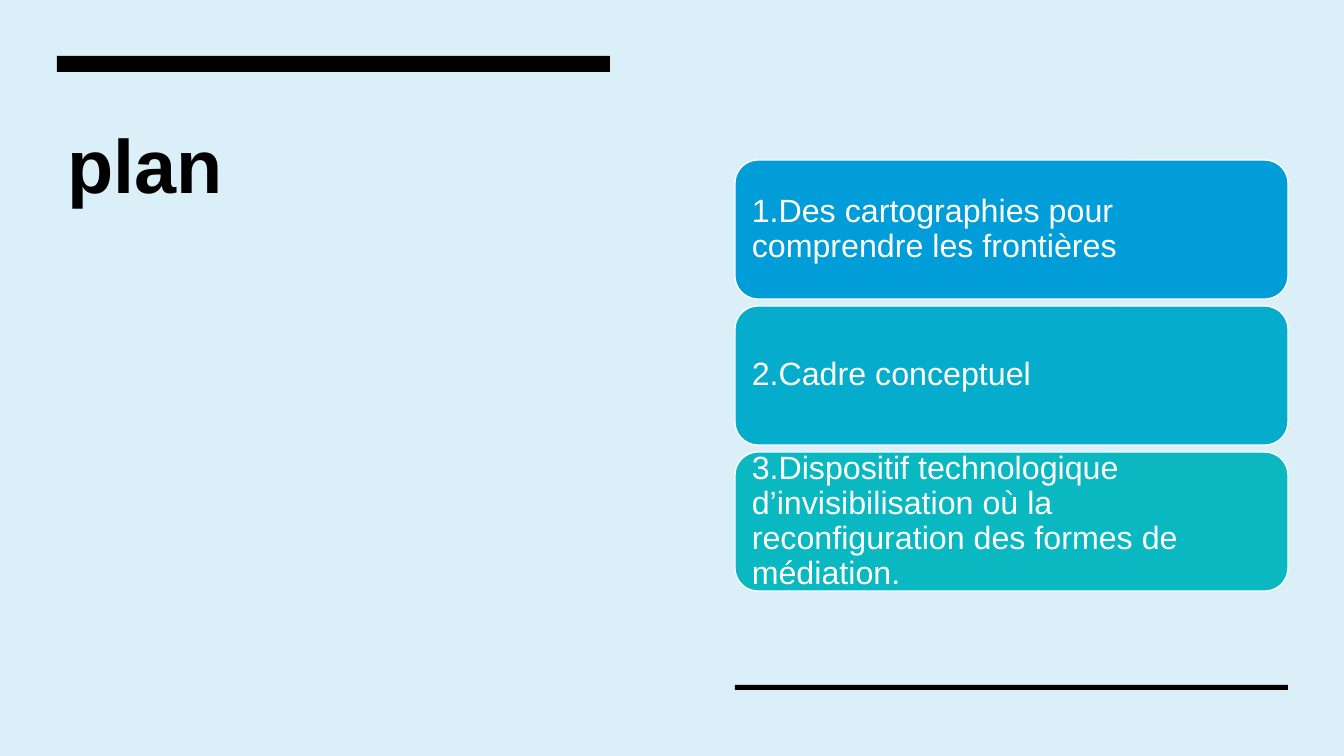
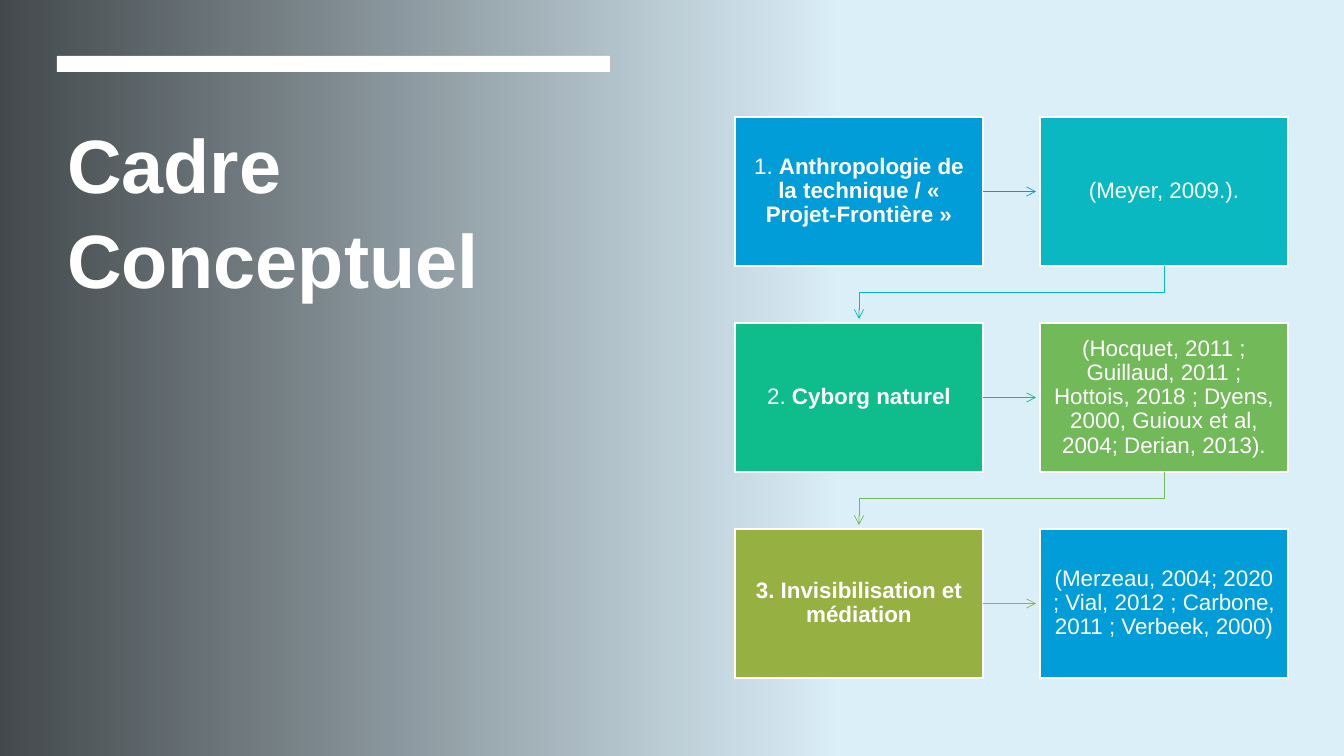
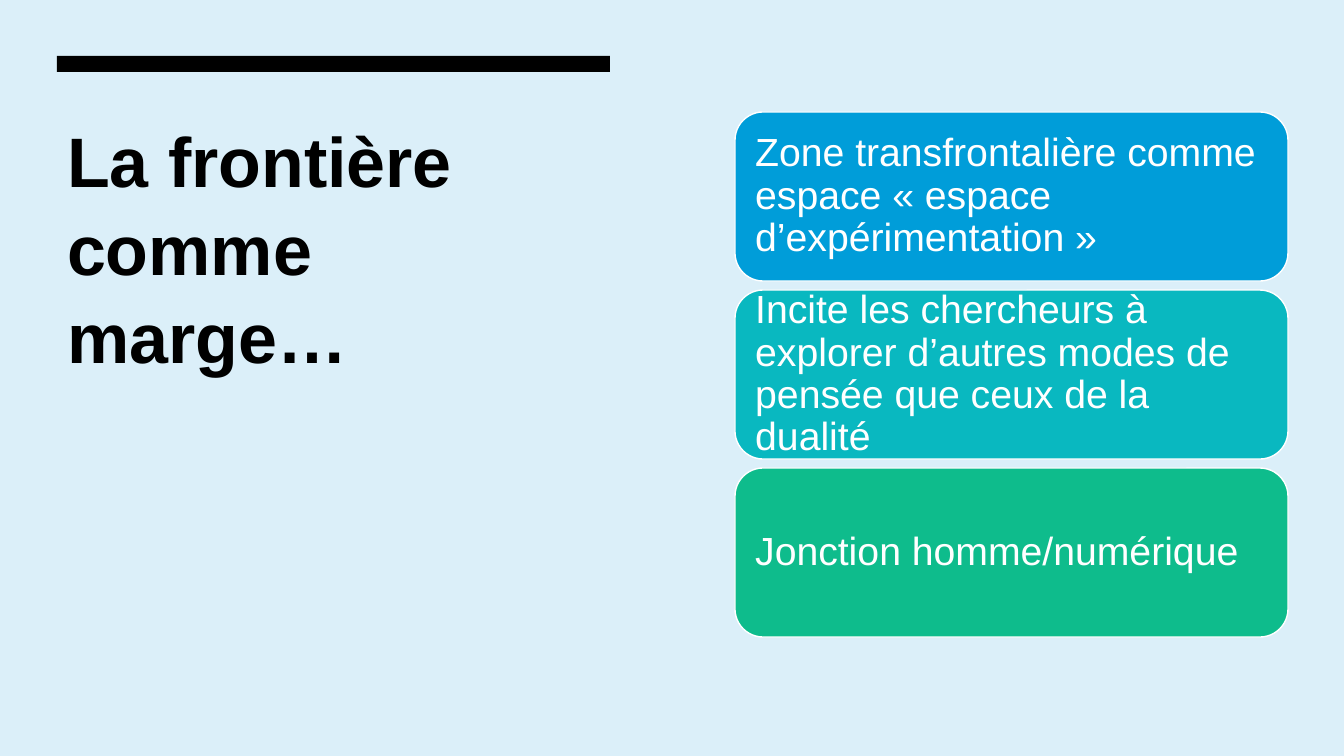
from lxml import etree
from pptx import Presentation
from pptx.dml.color import RGBColor
from pptx.enum.shapes import MSO_CONNECTOR as Connector, MSO_SHAPE as Shape
from pptx.enum.text import MSO_ANCHOR as Anchor, MSO_AUTO_SIZE as AutoSize, PP_ALIGN as Align
from pptx.oxml.ns import qn
from pptx.util import Pt

COLORS = {
    "sky": "DBEFF9", "black": "000000", "white": "FFFFFF",
    "blue": "009DD9", "cyan": "05ACCC", "teal": "09B8C0",
    "green": "0EBC8C", "leaf": "71B959", "olive": "96B042",
}
FONT = "Arial"
LEFT, RIGHT, COLUMN = 57, 735, 553
BAR_TOP, BAR_HEIGHT = 56, 16

PLAN = {
    "title": "plan", "title_size": 54, "title_height": 270,
    "top": 160, "height": 139, "gap": 7, "size": 23, "inset": 10,
    "cards": [
        ("1.Des cartographies pour comprendre les frontières", "blue"),
        ("2.Cadre conceptuel", "cyan"),
        ("3.Dispositif technologique d’invisibilisation où la reconfiguration "
         "des formes de médiation.", "teal"),
    ],
}
CONCEPTS = {
    "title": "Cadre Conceptuel", "title_size": 54, "title_height": 257,
    "steps": [
        (("1. ", "Anthropologie de la technique / « Projet-Frontière »"), "blue"),
        (("(Meyer, 2009.).", ""), "teal"),
        (("2. ", "Cyborg naturel"), "green"),
        (("(Hocquet, 2011 ; Guillaud, 2011 ; Hottois, 2018 ; Dyens, 2000, "
          "Guioux et al, 2004; Derian, 2013).", ""), "leaf"),
        (("", "3. Invisibilisation et médiation"), "olive"),
        (("(Merzeau, 2004; 2020 ; Vial, 2012 ; Carbone, 2011 ; Verbeek, 2000)", ""), "blue"),
    ],
}
MARGIN = {
    "title": "La frontière comme marge…", "title_size": 50, "title_height": 229,
    "top": 112, "height": 169, "gap": 9, "size": 28, "inset": 12,
    "cards": [
        ("Zone transfrontalière comme espace « espace d’expérimentation »", "blue"),
        ("Incite les chercheurs à explorer d’autres modes de pensée que ceux "
         "de la dualité", "teal"),
        ("Jonction homme/numérique", "green"),
    ],
}


def px(*lengths):
    return [round(length * 914400 / 100.8) for length in lengths]


def rgb(color):
    return RGBColor.from_string(COLORS[color])


def style(para, size, color, spacing, align):
    para.font.name = FONT
    para.font.size = Pt(size)
    para.font.color.rgb = rgb(color)
    para.line_spacing = spacing
    para.alignment = align


def add_box(page, kind, place, color, outline=None):
    box = page.shapes.add_shape(kind, *px(*place))
    box.shadow.inherit = False
    box.fill.solid()
    box.fill.fore_color.rgb = rgb(color)
    if outline:
        box.line.color.rgb = rgb(outline)
        box.line.width = Pt(1)
    else:
        box.line.fill.background()
    return box


def add_card(page, kind, place, color, parts, size, insets, align):
    box = add_box(page, kind, place, color, "white")
    frame = box.text_frame
    frame.word_wrap = True
    frame.vertical_anchor = Anchor.MIDDLE
    frame.margin_left = frame.margin_right = px(insets[0])[0]
    frame.margin_top = frame.margin_bottom = px(insets[1])[0]
    para = frame.paragraphs[0]
    for text, bold in zip(parts, (False, True)):
        if text:
            span = para.add_run()
            span.text = text
            span.font.bold = bold
    style(para, size, "white", 0.9, align)


def add_fade(page):
    fade = add_box(page, Shape.RECTANGLE, (0, 0, 842, 756), "black")
    fade.fill.gradient()
    fade.fill.gradient_angle = 0
    for stop, position, alpha in zip(fade.fill.gradient_stops, (0, 1), (70000, 0)):
        stop.position = position
        stop.color.rgb = rgb("black")
    for node, alpha in zip(fade.element.spPr.iter(qn("a:srgbClr")), (70000, 0)):
        etree.SubElement(node, qn("a:alpha"), val=str(alpha))


def add_arrow(page, kind, ends, color):
    arrow = page.shapes.add_connector(kind, *px(*ends))
    arrow.line.color.rgb = rgb(color)
    arrow.line.width = Pt(0.5)
    properties = arrow.element.spPr
    etree.SubElement(properties.find(qn("a:ln")), qn("a:tailEnd"), type="arrow")
    etree.SubElement(properties, qn("a:effectLst"))
    return arrow


def add_down_elbow(page, start, end, color):
    middle_x, middle_y = (start[0] + end[0]) / 2, (start[1] + end[1]) / 2
    half_run, half_drop = (start[0] - end[0]) / 2, (end[1] - start[1]) / 2
    ends = (middle_x - half_drop, middle_y - half_run,
            middle_x + half_drop, middle_y + half_run)
    arrow = add_arrow(page, Connector.ELBOW, ends, color)
    arrow.element.spPr.find(qn("a:xfrm")).set("rot", "5400000")


def add_page(deck, content, ink="black"):
    page = deck.slides.add_slide(deck.slide_layouts[5])
    if ink == "white":
        add_fade(page)
    title = page.shapes.title
    title.left, title.top, title.width, title.height = px(
        LEFT, 108, COLUMN, content["title_height"])
    page.shapes._spTree.append(title.element)
    frame = title.text_frame
    frame.text = content["title"]
    frame.word_wrap = True
    frame.auto_size = AutoSize.NONE
    frame.vertical_anchor = Anchor.TOP
    para = frame.paragraphs[0]
    style(para, content["title_size"], ink, 1.05, Align.LEFT)
    para.font.bold = True
    add_box(page, Shape.RECTANGLE, (LEFT, BAR_TOP, COLUMN, BAR_HEIGHT), ink)
    return page


def add_card_page(deck, content):
    page = add_page(deck, content)
    height, inset = content["height"], content["inset"]
    for row, (text, color) in enumerate(content["cards"]):
        top = content["top"] + row * (height + content["gap"])
        add_card(page, Shape.ROUNDED_RECTANGLE, (RIGHT, top, COLUMN, height), color,
                 (text,), content["size"], (inset, inset), Align.LEFT)
    return page


def add_flow_page(deck, content):
    page = add_page(deck, content, "white")
    width, height, gap, tip = 248, 149, 57, 4
    first_top = 117
    steps = content["steps"]
    for index, (parts, color) in enumerate(steps):
        row, column = divmod(index, 2)
        left = RIGHT + column * (width + gap)
        top = first_top + row * (height + gap)
        add_card(page, Shape.RECTANGLE, (left, top, width, height), color,
                 parts, 16, (12, 13), Align.CENTER)
        if column == 0:
            middle = top + height / 2
            add_arrow(page, Connector.STRAIGHT,
                      (left + width, middle, left + width + gap - tip, middle), color)
        elif index < len(steps) - 1:
            add_down_elbow(page, (left + width / 2, top + height),
                           (RIGHT + width / 2, top + height + gap - tip), color)


def main():
    deck = Presentation()
    deck.slide_width, deck.slide_height = px(1344, 756)
    backdrop = deck.slide_master.background.fill
    backdrop.solid()
    backdrop.fore_color.rgb = rgb("sky")
    plan = add_card_page(deck, PLAN)
    add_box(plan, Shape.RECTANGLE, (RIGHT, 685, COLUMN, 5), "black")
    add_flow_page(deck, CONCEPTS)
    add_card_page(deck, MARGIN)
    deck.save("out.pptx")


if __name__ == "__main__":
    main()
